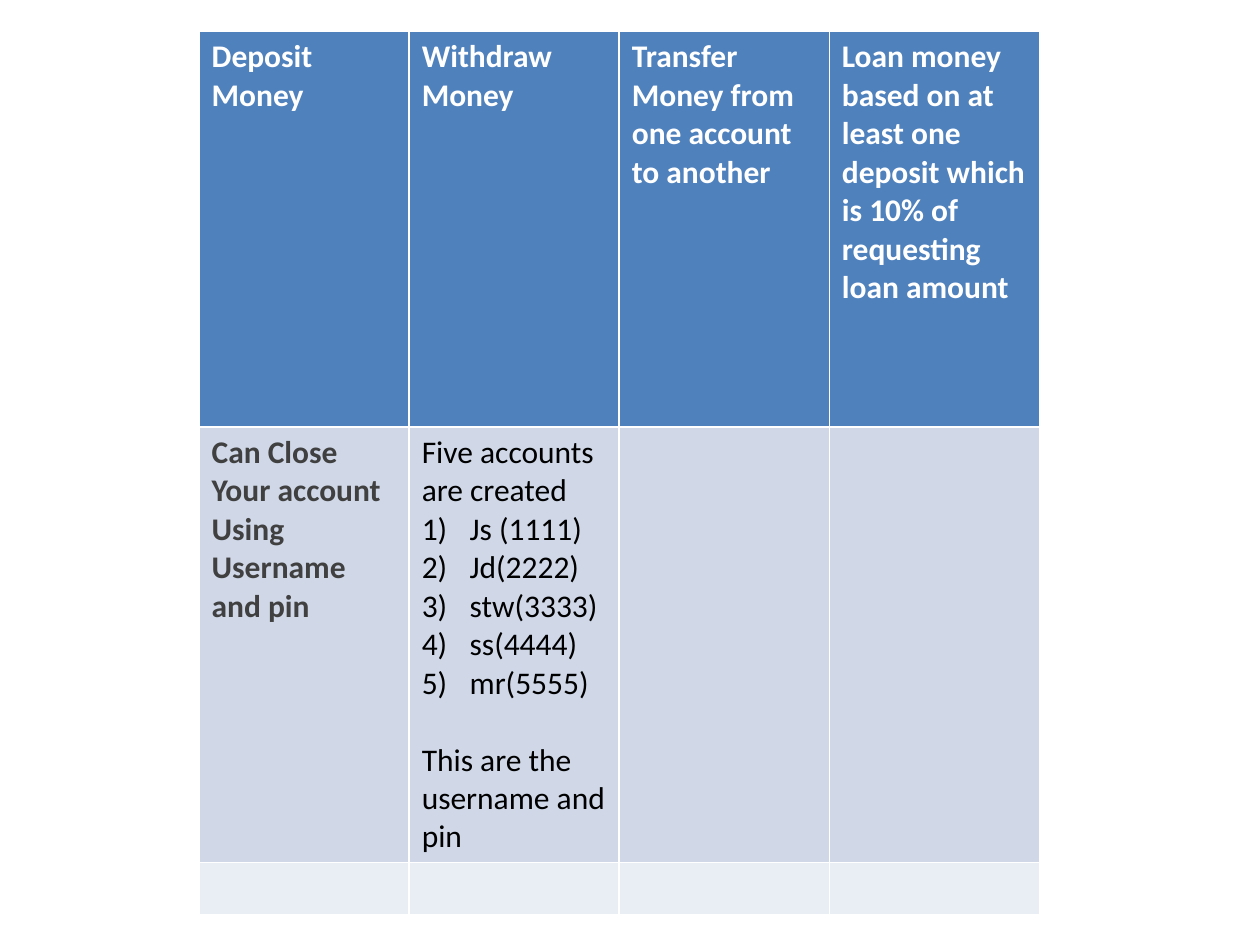
"""Build a slide with a table of banking features and sample accounts."""
from lxml import etree
from pptx import Presentation
from pptx.dml.color import RGBColor
from pptx.oxml import ns
from pptx.util import Inches, Pt


def color(value):
    return RGBColor.from_string(value)


def write(paragraph, wording, ink, bold):
    run = paragraph.add_run()
    run.text = wording
    for key, value in {"name": "Calibri", "size": Pt(18), "bold": bold}.items():
        setattr(run.font, key, value)
    run.font.color.rgb = color(ink)


deck = Presentation()
deck.slide_width, deck.slide_height = Inches(10), Inches(7.5)
slide = deck.slides.add_slide(deck.slide_layouts[6])

row_heights = [3.14, 3.44, 0.41]
row_fills = ["4F81BD", "D0D8E8", "E9EDF4"]
features = [
    "Deposit Money",
    "Withdraw Money",
    "Transfer Money from one account to another",
    "Loan money based on at least one deposit which is 10% of requesting loan amount",
]
accounts = ["Js (1111)", "Jd(2222)", "stw(3333)", "ss(4444)", "mr(5555)"]

services = slide.shapes.add_table(
    len(row_heights), len(features),
    Inches(1.58), Inches(0.25), Inches(6.67), Inches(sum(row_heights)),
).table

for row, height, fill in zip(services.rows, row_heights, row_fills):
    row.height = Inches(height)
    for cell in row.cells:
        cell.fill.solid()
        cell.fill.fore_color.rgb = color(fill)

for column, feature in enumerate(features):
    write(services.cell(0, column).text_frame.paragraphs[0], feature, "FFFFFF", True)

closing = services.cell(1, 0).text_frame.paragraphs[0]
write(closing, "Can Close Your account Using Username and pin", "404040", True)

account_list = services.cell(1, 1).text_frame
write(account_list.paragraphs[0], "Five accounts are created", "000000", False)
for account in accounts:
    entry = account_list.add_paragraph()
    write(entry, account, "000000", False)
    properties = entry._p.get_or_add_pPr()
    for key, value in {"marL": Inches(0.38), "indent": Inches(-0.38)}.items():
        properties.set(key, str(int(value)))
    etree.SubElement(properties, ns.qn("a:buFont"), typeface="+mj-lt")
    etree.SubElement(properties, ns.qn("a:buAutoNum"), type="arabicParenR")

explanation = account_list.add_paragraph()
explanation.space_before = Pt(22)
write(explanation, "This are the username and pin", "000000", False)

deck.save("out.pptx")
